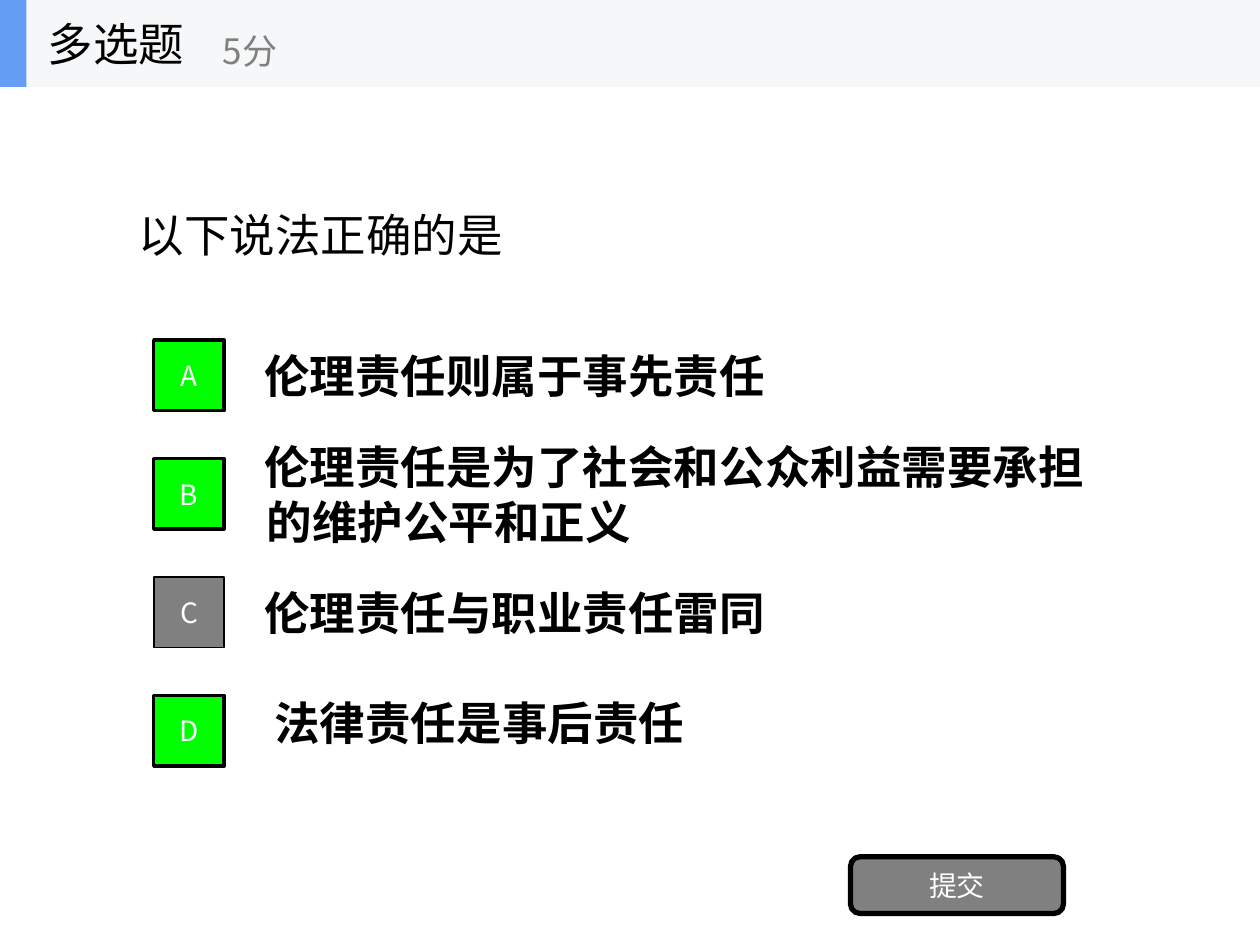
from typing import NamedTuple, Optional

from lxml import etree
from pptx import Presentation
from pptx import util as u
from pptx.dml.color import RGBColor
from pptx.enum import shapes, text
from pptx.oxml.ns import qn

PX = 9144  # 100 px to the inch
SANS, CABIN = "Noto Sans CJK SC", "Cabin"
BLACK, WHITE, GREY, GREEN = "000000", "FFFFFF", "808080", "00FF00"
RECT = shapes.MSO_SHAPE.RECTANGLE
ROUNDED = shapes.MSO_SHAPE.ROUNDED_RECTANGLE


class Box(NamedTuple):
    left: int
    top: int
    width: int
    height: int

    def emu(self) -> list:
        return [u.Emu(value * PX) for value in self]


class Option(NamedTuple):
    letter: str
    answer: str
    correct: bool
    font: str = SANS
    shift: tuple = (0, 0)
    hanging: int = 0


OPTIONS = [
    Option("A", "伦理责任则属于事先责任", True, CABIN),
    Option("B", "伦理责任是为了社会和公众利益需要承担的维护公平和正义", True, CABIN, hanging=2),
    Option("C", "伦理责任与职业责任雷同", False),
    Option("D", "法律责任是事后责任", True, shift=(8, -7)),
]
FIRST_ROW, ROW_STEP = 263, 94


def color(hex_value: str) -> RGBColor:
    return RGBColor.from_string(hex_value)


def write(shape, words: str, size: int, hue: str = BLACK, font: str = SANS,
          bold: bool = False, align=text.PP_ALIGN.LEFT, wrap: bool = True):
    frame = shape.text_frame
    frame_format = {"word_wrap": wrap, "auto_size": text.MSO_AUTO_SIZE.NONE,
                    "vertical_anchor": text.MSO_ANCHOR.MIDDLE}
    for name, value in frame_format.items():
        setattr(frame, name, value)
    paragraph = frame.paragraphs[0]
    paragraph.alignment = align
    run = paragraph.add_run()
    run.text = words
    for name, value in {"name": font, "size": u.Pt(size), "bold": bold}.items():
        setattr(run.font, name, value)
    run.font.color.rgb = color(hue)
    # East Asian characters take their own typeface
    etree.SubElement(run.font._element, qn("a:ea"), typeface=SANS)
    return paragraph


def add_label(parent, box: Box, words: str, size: int, **style):
    return write(parent.add_textbox(*box.emu()), words, size, **style)


def add_block(parent, kind, box: Box, fill: str, line: Optional[int] = None):
    block = parent.add_shape(kind, *box.emu())
    block.shadow.inherit = False
    block.fill.solid()
    block.fill.fore_color.rgb = color(fill)
    if line is None:
        block.line.fill.background()
    else:
        block.line.color.rgb = color(BLACK)
        block.line.width = u.Pt(line)
    return block


def add_button(parent, kind, box: Box, words: str, fill: str, line: int) -> None:
    write(add_block(parent, kind, box, fill, line), words, 16, WHITE,
          align=text.PP_ALIGN.CENTER)


def add_option(parent, option: Option, top: int) -> None:
    dx, dy = option.shift
    answer = add_label(parent, Box(200 + dx, top + dy, 700, 70), option.answer, 26,
                       font=option.font, bold=True)
    if option.hanging:
        indent = option.hanging * PX
        properties = answer._p.get_or_add_pPr()
        properties.set("marL", str(indent))
        properties.set("indent", str(-indent))
    fill, line = (GREEN, 2) if option.correct else (GREY, 1)
    add_button(parent, RECT, Box(122, top + 7, 56, 56), option.letter, fill, line)


def main() -> None:
    deck = Presentation()
    deck.slide_width, deck.slide_height = u.Emu(1000 * PX), u.Emu(750 * PX)
    slide = deck.slides.add_slide(deck.slide_layouts[5])
    canvas = slide.shapes

    # Question
    question = canvas.title
    place = Box(100, 69, 800, 234).emu()
    for name, value in zip(("left", "top", "width", "height"), place):
        setattr(question, name, value)
    write(question, "以下说法正确的是", 26)

    # Answer options
    for row, option in enumerate(OPTIONS):
        add_option(canvas, option, FIRST_ROW + row * ROW_STEP)

    # Submit button
    add_button(canvas, ROUNDED, Box(675, 680, 169, 45), "提交", GREY, 3)

    # Header bar with question type and score
    header = canvas.add_group_shape().shapes
    add_block(header, RECT, Box(0, 0, 1000, 69), "F6F7F8")
    add_block(header, RECT, Box(0, 0, 21, 69), "639EF4")
    add_label(header, Box(28, 0, 208, 69), "多选题", 26, wrap=False)
    add_label(header, Box(167, 12, 250, 56), "5分", 20, hue=GREY, wrap=False)

    deck.save("out.pptx")


if __name__ == "__main__":
    main()
